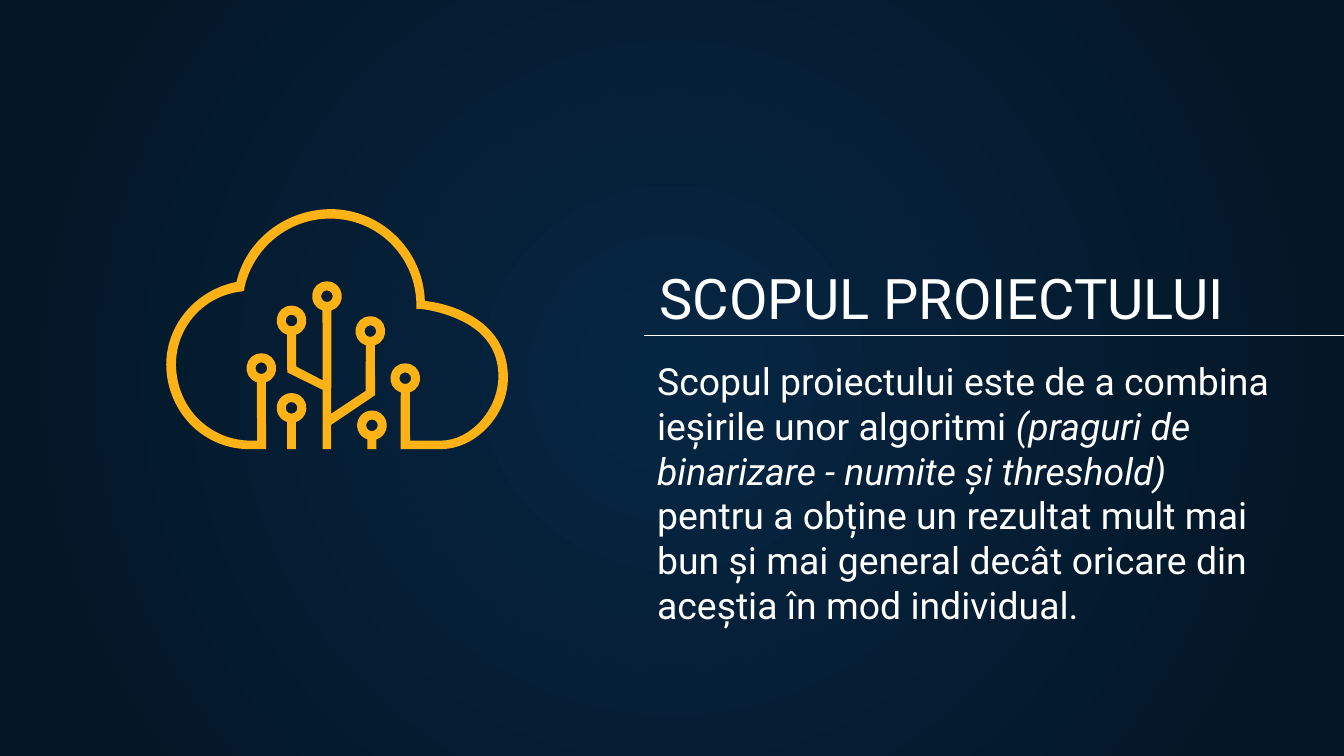
from dataclasses import dataclass
from math import asin, cos, pi, sin, tan

from lxml import etree
from pptx import Presentation
from pptx.dml.color import RGBColor
from pptx.enum.shapes import MSO_CONNECTOR
from pptx.enum.text import MSO_ANCHOR
from pptx.oxml.ns import qn
from pptx.util import Cm, Pt

LINE = MSO_CONNECTOR.STRAIGHT
TOP, BOTTOM = MSO_ANCHOR.TOP, MSO_ANCHOR.BOTTOM
FONT = "Roboto"
COLORS = {
    "glow": "052643",
    "night": "041523",
    "gold": "FFB215",
    "white": "FFFFFF",
}
RING, HOLE, HALF = 0.28, 0.11, 0.085  # radii and half a stem's width, in cm
BASE, INNER = 8.49, 8.33  # lower and upper edge of the cloud's floor, in cm

Point = tuple[float, float]
Step = tuple[Point, ...]  # one point for a line, three for a cubic curve


@dataclass
class Run:
    text: str
    italic: bool = False


@dataclass
class Block:
    left: float
    top: float
    width: float
    height: float
    size: int
    anchor: MSO_ANCHOR
    runs: list[Run]


def color(name: str) -> RGBColor:
    return RGBColor.from_string(COLORS[name])


def lines(*points: Point) -> list[Step]:
    return [(point,) for point in points]


def bend(start: Point, *knots: Point) -> list[Step]:
    """Line to the start, then a curve for every two handles and an end."""
    return [(start,)] + [knots[i:i + 3] for i in range(0, len(knots), 3)]


def arc(center: Point, radius: float, count: int, gap: float = 0) -> list[Step]:
    """Circle from right to left in count curves, open at its foot by twice the gap."""
    first = asin(gap / radius)
    turn = 2 * (pi - first) / count
    reach = 4 / 3 * tan(turn / 4)

    def spot(angle: float, pull: float = 0) -> Point:
        return (center[0] + radius * (sin(angle) + pull * cos(angle)),
                center[1] + radius * (cos(angle) - pull * sin(angle)))

    knots = []
    for i in range(count):
        start, end = first + i * turn, first + (i + 1) * turn
        knots += [spot(start, reach), spot(end, -reach), spot(end)]
    return bend(spot(first), *knots)


def node(center: Point, count: int = 2) -> list[Step]:
    return arc(center, RING, count, HALF)


def draw_part(group, edge: list[Step], rings: list[Point]) -> None:
    """Filled outline with a round hole in each ring."""
    loops = [edge] + [arc(ring, HOLE, 3) for ring in rings]
    pen = None
    for loop in loops:
        dots = [(Cm(x), Cm(y)) for step in loop for x, y in step]
        if pen is None:
            pen = group.shapes.build_freeform(*dots[0])
        else:
            pen.move_to(*dots[0])
        pen.add_line_segments(dots[1:], close=True)
    part = pen.convert_to_shape()
    part.shadow.inherit = False
    part.fill.solid()
    part.fill.fore_color.rgb = color("gold")
    part.line.fill.background()
    fuse_curves(part, [step for loop in loops for step in loop[1:]])


def fuse_curves(part, steps: list[Step]) -> None:
    """Turn each run of three lines that stands for a curve into that curve."""
    legs = iter(list(part._element.iter(qn("a:lnTo"))))
    for step in steps:
        own = [next(legs) for _ in step]
        if len(step) == 3:
            curve = etree.Element(qn("a:cubicBezTo"))
            own[0].addprevious(curve)
            for leg in own:
                curve.append(leg[0])
                leg.getparent().remove(leg)


def draw_icon(slide) -> None:
    group = slide.shapes.add_group_shape()

    left, top, right = (5.51, 6.06), (6.18, 5.6), (7.0, 6.26)
    tree = [
        *lines((7.09, 7.47)), *node(right), *lines((6.91, 7.39), (6.26, 7.82)),
        *node(top), *lines((6.1, 7.19), (5.6, 6.93)),
        *node(left), *lines((5.43, 7.04), (6.1, 7.37)),
        *lines((6.1, BASE), (6.26, BASE), (6.26, 8.03)),
    ]
    draw_part(group, tree, [right, left, top])

    west, east = (4.94, 6.96), (7.66, 7.15)
    cloud = [
        *bend((8.03, 5.69), (8.0, 4.78), (7.29, 4.04), (6.4, 3.96),
              (5.51, 3.89), (4.67, 4.47), (4.47, 5.33),
              (3.66, 5.49), (3.07, 6.22), (3.15, 7.04),
              (3.23, 7.87), (3.91, 8.51), (4.75, BASE)),
        *lines((5.03, BASE)), *node(west), *lines((4.86, INNER)),
        *bend((4.75, INNER), (3.99, INNER), (3.38, 7.75), (3.33, 6.98),
              (3.28, 6.25), (3.81, 5.59), (4.57, 5.51)),
        *lines((4.62, 5.49)),
        *bend((4.62, 5.44), (4.8, 4.62), (5.56, 4.06), (6.4, 4.14),
              (7.24, 4.22), (7.87, 4.93), (7.87, 5.77)),
        *lines((7.87, 5.84)),
        *bend((7.95, 5.84), (8.2, 5.87), (8.46, 5.94), (8.69, 6.05),
              (9.17, 6.27), (9.42, 6.63), (9.42, 7.11),
              (9.42, 7.75), (8.89, INNER), (8.33, INNER)),
        *lines((7.75, INNER)), *node(east), *lines((7.57, BASE)),
        *bend((8.33, BASE), (8.99, BASE), (9.6, 7.85), (9.6, 7.14),
              (9.6, 5.97), (8.36, 5.72), (8.03, 5.69)),
    ]
    draw_part(group, cloud, [west, east])

    for bud in [(5.51, 7.71), (7.03, 8.04)]:
        foot = lines((bud[0] - HALF, BASE), (bud[0] + HALF, BASE))
        draw_part(group, node(bud, 3) + foot, [bud])


def draw_text(slide, block: Block) -> None:
    box = slide.shapes.add_textbox(
        Cm(block.left), Cm(block.top), Cm(block.width), Cm(block.height))
    frame = box.text_frame
    frame.word_wrap = True
    frame.vertical_anchor = block.anchor
    frame.margin_left = frame.margin_right = Cm(0.25)
    frame.margin_top = frame.margin_bottom = Cm(0.25)
    for item in block.runs:
        run = frame.paragraphs[0].add_run()
        run.text = item.text
        run.font.name = FONT
        run.font.size = Pt(block.size)
        run.font.italic = item.italic
        run.font.color.rgb = color("white")


def draw_rule(slide) -> None:
    rule = slide.shapes.add_connector(LINE, Cm(12.17), Cm(6.34), Cm(26.16), Cm(6.34))
    rule.line.color.rgb = color("white")
    rule.line.width = Pt(0.5)
    etree.SubElement(rule._element.spPr, qn("a:effectLst"))


def paint_back(slide) -> None:
    """Round gradient that darkens from the centre of the slide."""
    fill = slide.background.fill
    fill.gradient()
    for stop, name in zip(fill.gradient_stops, ("glow", "night")):
        stop.color.rgb = color(name)
    grad = slide._element.find(".//" + qn("a:gradFill"))
    ray = etree.Element(qn("a:path"), {"path": "circle"})
    etree.SubElement(ray, qn("a:fillToRect"), dict.fromkeys("ltrb", "50000"))
    grad.replace(grad.find(qn("a:lin")), ray)


def main() -> None:
    deck = Presentation()
    deck.slide_width, deck.slide_height = Cm(25.4), Cm(14.29)
    slide = deck.slides.add_slide(deck.slide_layouts[6])
    blocks = [
        Block(12.22, 3.48, 11.35, 3.02, 30, BOTTOM, [Run("SCOPUL PROIECTULUI")]),
        Block(12.17, 6.52, 12.12, 6.6, 20, TOP, [
            Run("Scopul proiectului este de a combina ieșirile unor algoritmi "),
            Run("(praguri de binarizare - numite și threshold) ", italic=True),
            Run("pentru a obține un rezultat mult mai bun și mai general "
                "decât oricare din aceștia în mod individual."),
        ]),
    ]
    paint_back(slide)
    for block in blocks:
        draw_text(slide, block)
    draw_rule(slide)
    draw_icon(slide)
    deck.save("out.pptx")


if __name__ == "__main__":
    main()
